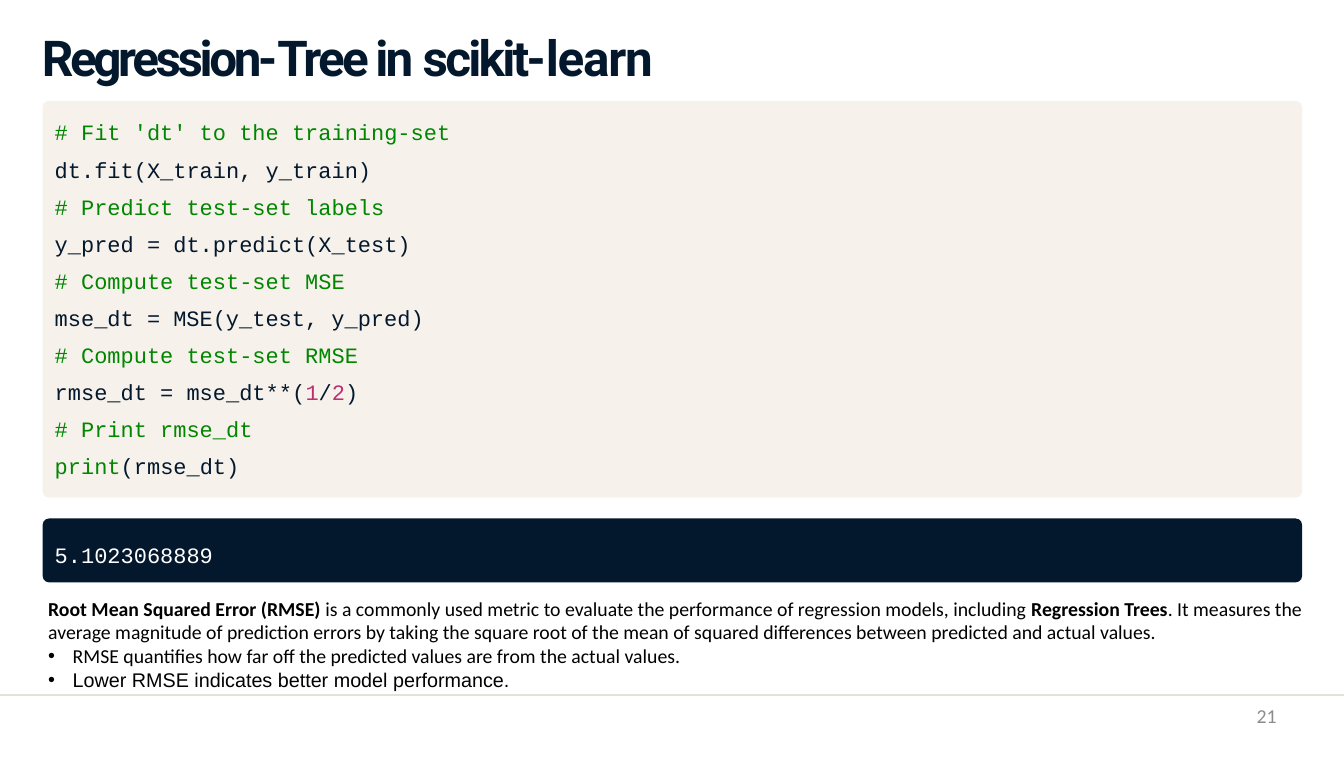
from dataclasses import dataclass

from lxml.etree import SubElement
from pptx import Presentation
from pptx.dml.color import RGBColor
from pptx.enum.shapes import MSO_CONNECTOR, MSO_SHAPE
from pptx.enum.text import MSO_ANCHOR, MSO_AUTO_SIZE, PP_ALIGN
from pptx.oxml.ns import qn
from pptx.util import Inches, Pt

NAVY = RGBColor(0x04, 0x18, 0x2D)
CREAM = RGBColor(0xF6, 0xF2, 0xEB)
GREEN = RGBColor(0x00, 0x86, 0x00)
PINK = RGBColor(0xBE, 0x2F, 0x72)
WHITE = RGBColor(0xFF, 0xFF, 0xFF)
BLACK = RGBColor(0x00, 0x00, 0x00)
GREY = RGBColor(0x8C, 0x8C, 0x8C)
RULE = RGBColor(0xE4, 0xE1, 0xD9)

WIDTH, HEIGHT = Inches(17.01), Inches(9.58)
COLUMN, ROW = WIDTH / 170, HEIGHT / 96
CORNER = Inches(0.08)
CODE_PITCH = Pt(33.8)


@dataclass(frozen=True)
class Area:
    column: float
    row: float
    columns: float
    rows: float

    def lengths(self) -> tuple[int, ...]:
        return (int(self.column * COLUMN), int(self.row * ROW),
                int(self.columns * COLUMN), int(self.rows * ROW))


@dataclass(frozen=True)
class Span:
    text: str
    color: RGBColor = BLACK
    bold: bool = False
    font: str = "Calibri"
    spacing: float = 0


@dataclass(frozen=True)
class Line:
    spans: tuple[Span, ...]
    bullet: bool = False
    tab: float = 0


@dataclass(frozen=True)
class Panel:
    area: Area
    fill: RGBColor
    top_inset: float
    lines: tuple[Line, ...]


def code(*parts: tuple[str, RGBColor], tab: float = 0) -> Line:
    return Line(tuple(Span(text, color, font="Courier New") for text, color in parts), tab=tab)


TITLE = Line((
    Span("Regression-", NAVY, True, "Roboto", -3.1),
    Span("Tree in ", NAVY, True, "Roboto", -2.6),
    Span("scikit-", NAVY, True, "Roboto", -2.5),
    Span("learn", NAVY, True, "Roboto", -1.1),
))

PANELS = (
    Panel(Area(5.4, 12.8, 159.3, 50.3), CREAM, 0.07, (
        code(("# Fit 'dt' to the training-set", GREEN)),
        code(("dt.fit(X_train, y_train)", NAVY)),
        code(("# Predict test-set labels", GREEN)),
        code(("y_pred = dt.predict(X_test)", NAVY)),
        code(("# Compute test-set MSE", GREEN)),
        code(("mse_dt =\tMSE(y_test, y_pred)", NAVY), tab=1.7),
        code(("# Compute test-set RMSE", GREEN)),
        code(("rmse_dt = mse_dt**(", NAVY), ("1", PINK), ("/", NAVY), ("2", PINK), (")", NAVY)),
        code(("# Print rmse_dt", GREEN)),
        code(("print", GREEN), ("(rmse_dt)", NAVY)),
    )),
    Panel(Area(5.4, 65.75, 159.3, 8.1), NAVY, 0.13, (code(("5.1023068889", WHITE)),)),
)

NOTES = (
    Line((
        Span("Root Mean Squared Error (RMSE)", bold=True),
        Span(" is a commonly used metric to evaluate the performance of regression models, including "),
        Span("Regression Trees", bold=True),
        Span(". It measures the average magnitude of prediction errors by taking the square root of "
             "the mean of squared differences between predicted and actual values."),
    )),
    Line((Span("RMSE quantifies how far off the predicted values are from the actual values."),),
         bullet=True),
    Line((Span("Lower RMSE indicates better model performance.", font="Arial"),), bullet=True),
)


def add_run(paragraph, text: str, *, size: float, font: str, color: RGBColor,
            bold: bool = False, spacing: float = 0) -> None:
    run = paragraph.add_run()
    run.text = text
    run.font.size = Pt(size)
    run.font.name = font
    run.font.bold = bold
    run.font.color.rgb = color
    if spacing:
        run.font._element.set("spc", str(round(spacing * 100)))


def write(shape, lines: tuple[Line, ...], *, size: float, insets=(0, 0, 0, 0),
          align=PP_ALIGN.LEFT, pitch=None) -> None:
    frame = shape.text_frame
    frame.word_wrap = True
    frame.auto_size = MSO_AUTO_SIZE.NONE
    frame.vertical_anchor = MSO_ANCHOR.TOP
    frame.margin_left, frame.margin_top, frame.margin_right, frame.margin_bottom = map(Inches, insets)
    for index, line in enumerate(lines):
        paragraph = frame.add_paragraph() if index else frame.paragraphs[0]
        paragraph.alignment = align
        paragraph.space_before = Pt(0)
        if pitch:
            paragraph.line_spacing = pitch
        properties = paragraph._p.get_or_add_pPr()
        indent = Inches(0.31) if line.bullet else 0
        properties.set("marL", str(indent))
        properties.set("indent", str(-indent))
        if line.bullet:
            SubElement(properties, qn("a:buFont"), typeface="Arial")
            SubElement(properties, qn("a:buChar"), char="•")
        else:
            SubElement(properties, qn("a:buNone"))
        if line.tab:
            stops = SubElement(properties, qn("a:tabLst"))
            SubElement(stops, qn("a:tab"), pos=str(Inches(line.tab)), algn="l")
        for span in line.spans:
            add_run(paragraph, span.text, size=size, font=span.font, color=span.color,
                    bold=span.bold, spacing=span.spacing)


def place(shape, area: Area) -> None:
    shape.left, shape.top, shape.width, shape.height = area.lengths()


def add_panel(slide, panel: Panel) -> None:
    shape = slide.shapes.add_shape(MSO_SHAPE.ROUNDED_RECTANGLE, *panel.area.lengths())
    shape.adjustments[0] = CORNER / shape.height
    shape.shadow.inherit = False
    shape.fill.solid()
    shape.fill.fore_color.rgb = panel.fill
    shape.line.fill.background()
    write(shape, panel.lines, size=20, insets=(0.13, panel.top_inset, 0, 0), pitch=CODE_PITCH)


def add_footer_rule(slide, row: float) -> None:
    height = int(row * ROW)
    rule = slide.shapes.add_connector(MSO_CONNECTOR.STRAIGHT, 0, height, WIDTH, height)
    rule.line.color.rgb = RULE
    rule.line.width = Pt(1.5)
    SubElement(rule._element.spPr, qn("a:effectLst"))


def main() -> None:
    presentation = Presentation()
    presentation.slide_width, presentation.slide_height = WIDTH, HEIGHT
    slide = presentation.slides.add_slide(presentation.slide_layouts[1])
    title, notes = slide.placeholders

    add_footer_rule(slide, 88.1)
    place(title, Area(5.3, 3, 86, 7.8))
    write(title, (TITLE,), size=45, insets=(0, 0.04, 0, 0))
    for panel in PANELS:
        add_panel(slide, panel)
    place(notes, Area(5.1, 75.15, 160.7, 20))
    write(notes, NOTES, size=18, insets=(0.1, 0.05, 0.1, 0.05))
    number = slide.shapes.add_textbox(*Area(122.5, 89.3, 39, 4.8).lengths())
    write(number, (Line((Span("21", GREY),)),), size=18, align=PP_ALIGN.RIGHT)

    presentation.save("out.pptx")


if __name__ == "__main__":
    main()
